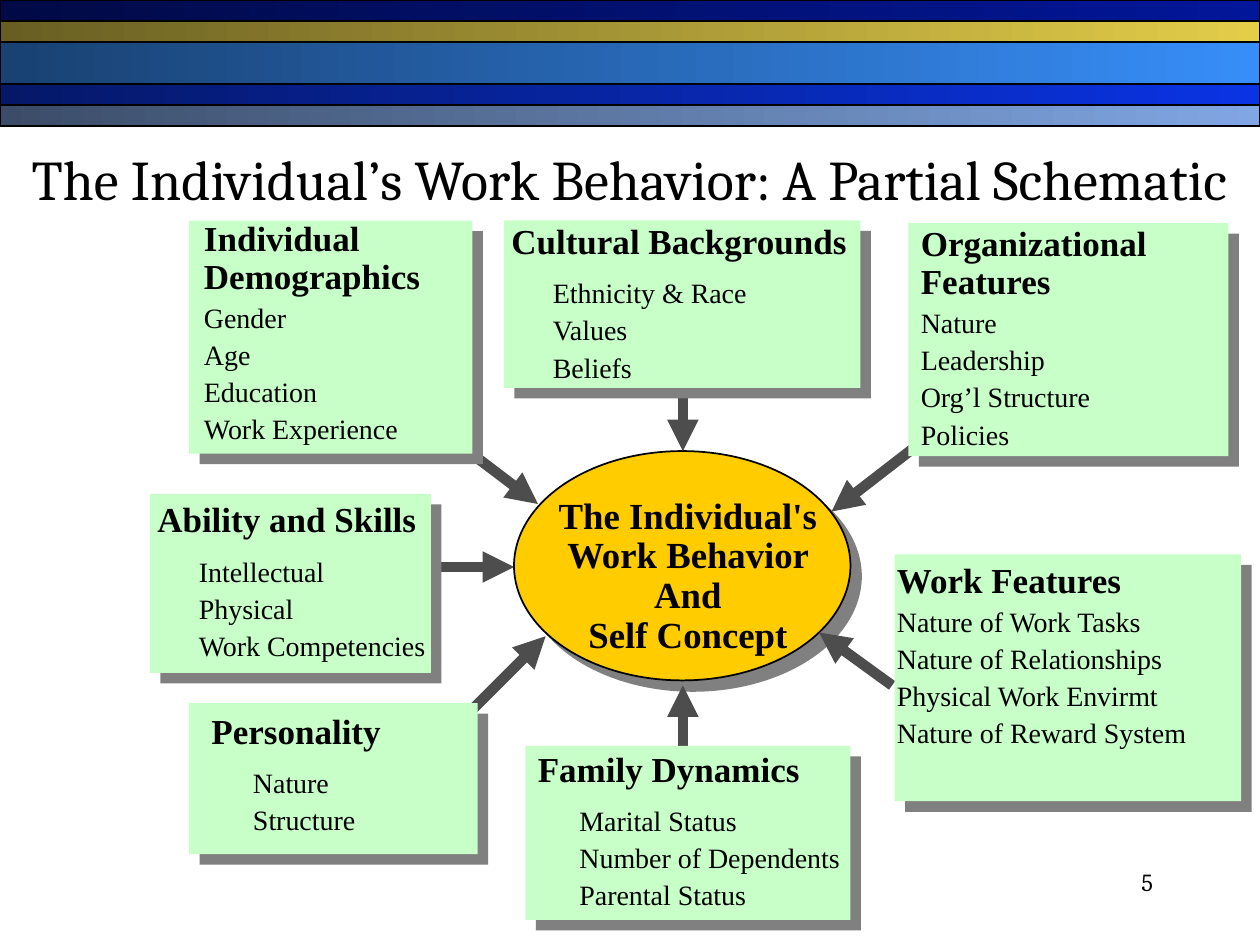
from dataclasses import dataclass

from lxml.etree import SubElement
from pptx import Presentation
from pptx.dml.color import RGBColor
from pptx.enum.shapes import MSO_CONNECTOR, MSO_SHAPE
from pptx.enum.text import MSO_ANCHOR, MSO_AUTO_SIZE, PP_ALIGN
from pptx.oxml.ns import qn
from pptx.util import Inches, Length, Pt

COLORS = {
    "black": "000000",
    "card": "C8FEC8",
    "core": "FFCC00",
    "arrow": "4D4D4D",
    "shadow": "808080",
}
SERIF, TITLE_FONT = "Times New Roman", "Cambria"
COLUMNS, ROWS = 100, 75
INDENT = Inches(0.33)


@dataclass
class Box:
    """A rectangle in grid columns and rows."""
    left: float
    top: float
    width: float
    height: float


@dataclass
class Band:
    rows: float
    start: str
    end: str


@dataclass
class Card:
    box: Box
    text_box: Box
    heading: str
    details: list[str]
    indented: bool = False


@dataclass
class Arrow:
    start: tuple[float, float]
    end: tuple[float, float]


BANDS = [
    Band(5 / 3, "010A46", "021699"),
    Band(5 / 3, "685E22", "E3CD49"),
    Band(10 / 3, "194172", "378EF8"),
    Band(5 / 3, "051868", "0A33E3"),
    Band(5 / 3, "3B4C68", "80A6E3"),
]

CARDS = [
    Card(Box(15, 55.8, 22.9, 12), Box(15.8, 56.2, 23.3, 10.6),
         "Personality", ["Nature", "Structure"], indented=True),
    Card(Box(40, 17.5, 28.3, 13.3), Box(39.6, 17.3, 31.7, 13.6),
         "Cultural Backgrounds", ["Ethnicity & Race", "Values", "Beliefs"], indented=True),
    Card(Box(41.7, 59.2, 25.8, 13.8), Box(41.7, 59.2, 27.5, 13.6),
         "Family Dynamics", ["Marital Status", "Number of Dependents", "Parental Status"],
         indented=True),
    Card(Box(15, 17.5, 22.5, 18.5), Box(15.2, 17.1, 22.9, 18.8),
         "Individual Demographics", ["Gender", "Age", "Education", "Work Experience"]),
    Card(Box(11.9, 39.2, 22.3, 14.2), Box(11.5, 39.4, 25, 16),
         "Ability and Skills", ["Intellectual", "Physical", "Work Competencies"], indented=True),
    Card(Box(72.1, 17.7, 25.4, 18.5), Box(72.1, 17.5, 22.9, 18.8),
         "Organizational Features", ["Nature", "Leadership", "Org’l Structure", "Policies"]),
    Card(Box(71, 44, 27.5, 19.6), Box(70.2, 44.2, 29.2, 15.8),
         "Work Features", ["Nature of Work Tasks", "Nature of Relationships",
                           "Physical Work Envirmt", "Nature of Reward System"]),
]

ARROWS = [
    Arrow((54.2, 29.2), (54.2, 35.8)),
    Arrow((37.4, 56.4), (43.3, 50.5)),
    Arrow((33.3, 45), (40.8, 45)),
    Arrow((36.1, 35), (42.7, 40)),
    Arrow((73.5, 34.8), (66, 40.6)),
    Arrow((70.8, 54.4), (65, 50.2)),
    Arrow((54.2, 59.2), (54.2, 54.4)),
]

presentation = Presentation()
presentation.slide_width, presentation.slide_height = Inches(10), Inches(7.5)
slide = presentation.slides.add_slide(presentation.slide_layouts[6])


def across(columns: float) -> Length:
    return Length(round(presentation.slide_width * columns / COLUMNS))


def down(rows: float) -> Length:
    return Length(round(presentation.slide_height * rows / ROWS))


def place(box: Box) -> tuple[Length, Length, Length, Length]:
    return across(box.left), down(box.top), across(box.width), down(box.height)


def add_paragraph(frame, text: str, *, size: float, font: str = SERIF, bold: bool = False,
                  align=PP_ALIGN.LEFT, line_spacing: float = 1.0, before: float = 0,
                  indent: Length = Length(0)) -> None:
    """Write text into the frame's empty first paragraph, or into a new one."""
    paragraph = frame.paragraphs[0]
    if paragraph.runs:
        paragraph = frame.add_paragraph()
    paragraph.text = text
    paragraph.alignment = align
    paragraph.line_spacing = line_spacing
    paragraph.space_before = Pt(before)
    if indent:
        paragraph._p.get_or_add_pPr().set("marL", str(indent))
    for run in paragraph.runs:
        run.font.name, run.font.size, run.font.bold = font, Pt(size), bold
        run.font.color.rgb = RGBColor.from_string(COLORS["black"])


def add_frame(box: Box, anchor=MSO_ANCHOR.TOP, grow: bool = False):
    frame = slide.shapes.add_textbox(*place(box)).text_frame
    frame.word_wrap = True
    frame.vertical_anchor = anchor
    if grow:
        frame.auto_size = MSO_AUTO_SIZE.SHAPE_TO_FIT_TEXT
    return frame


def add_shadowed_shape(kind, box: Box, color: str, outlined: bool = False) -> None:
    shape = slide.shapes.add_shape(kind, *place(box))
    shape.fill.solid()
    shape.fill.fore_color.rgb = RGBColor.from_string(color)
    if outlined:
        shape.line.color.rgb = RGBColor.from_string(COLORS["black"])
        shape.line.width = Pt(1)
    else:
        shape.line.fill.background()
    shape.shadow.inherit = False
    effects = shape._element.spPr.find(qn("a:effectLst"))
    shadow = SubElement(effects, qn("a:outerShdw"), dist=str(Pt(8.5)), dir=str(45 * 60000),
                        algn="ctr", rotWithShape="0")
    SubElement(shadow, qn("a:srgbClr"), val=COLORS["shadow"])


def add_band(band: Band, top: float) -> None:
    shape = slide.shapes.add_shape(MSO_SHAPE.RECTANGLE, *place(Box(0, top, COLUMNS, band.rows)))
    shape.shadow.inherit = False
    shape.fill.gradient()
    shape.fill.gradient_angle = 0
    for stop, color, position in zip(shape.fill.gradient_stops, (band.start, band.end), (0, 1)):
        stop.color.rgb = RGBColor.from_string(color)
        stop.position = position
    shape.line.color.rgb = RGBColor.from_string(COLORS["black"])
    shape.line.width = Pt(0.75)


def add_arrow(arrow: Arrow) -> None:
    (x1, y1), (x2, y2) = arrow.start, arrow.end
    connector = slide.shapes.add_connector(
        MSO_CONNECTOR.STRAIGHT, across(x1), down(y1), across(x2), down(y2))
    connector.line.color.rgb = RGBColor.from_string(COLORS["arrow"])
    connector.line.width = Pt(6)
    SubElement(connector.line._get_or_add_ln(), qn("a:tailEnd"), type="triangle")
    SubElement(connector._element.spPr, qn("a:effectLst"))


def add_card(card: Card) -> None:
    add_shadowed_shape(MSO_SHAPE.RECTANGLE, card.box, COLORS["card"])
    frame = add_frame(card.text_box, grow=True)
    add_paragraph(frame, card.heading, size=20, bold=True, line_spacing=0.9, before=4)
    for number, detail in enumerate(card.details):
        before = 10 if card.indented and number == 0 else 4
        add_paragraph(frame, detail, size=16, line_spacing=0.9, before=before,
                      indent=INDENT if card.indented else Length(0))


# Striped header
band_top = 0
for band in BANDS:
    add_band(band, band_top)
    band_top += band.rows

# Title and slide number
add_paragraph(add_frame(Box(0, 7.5, COLUMNS, 13.3), MSO_ANCHOR.MIDDLE),
              "The Individual’s Work Behavior: A Partial Schematic",
              size=32, font=TITLE_FONT, align=PP_ALIGN.CENTER)
add_paragraph(add_frame(Box(71.7, 68.3, 20.8, 5)), "5",
              size=14, font=TITLE_FONT, align=PP_ALIGN.RIGHT)

# Central ellipse, the arrows into it, and the surrounding cards
add_shadowed_shape(MSO_SHAPE.OVAL, Box(40.8, 35.8, 26.7, 18.2), COLORS["core"], outlined=True)
for arrow in ARROWS:
    add_arrow(arrow)
for card in CARDS:
    add_card(card)
add_paragraph(add_frame(Box(42.1, 39, 25, 13.6), grow=True),
              "The Individual's Work Behavior And\vSelf Concept",
              size=21, bold=True, align=PP_ALIGN.CENTER, line_spacing=0.9, before=4)

presentation.save("out.pptx")
